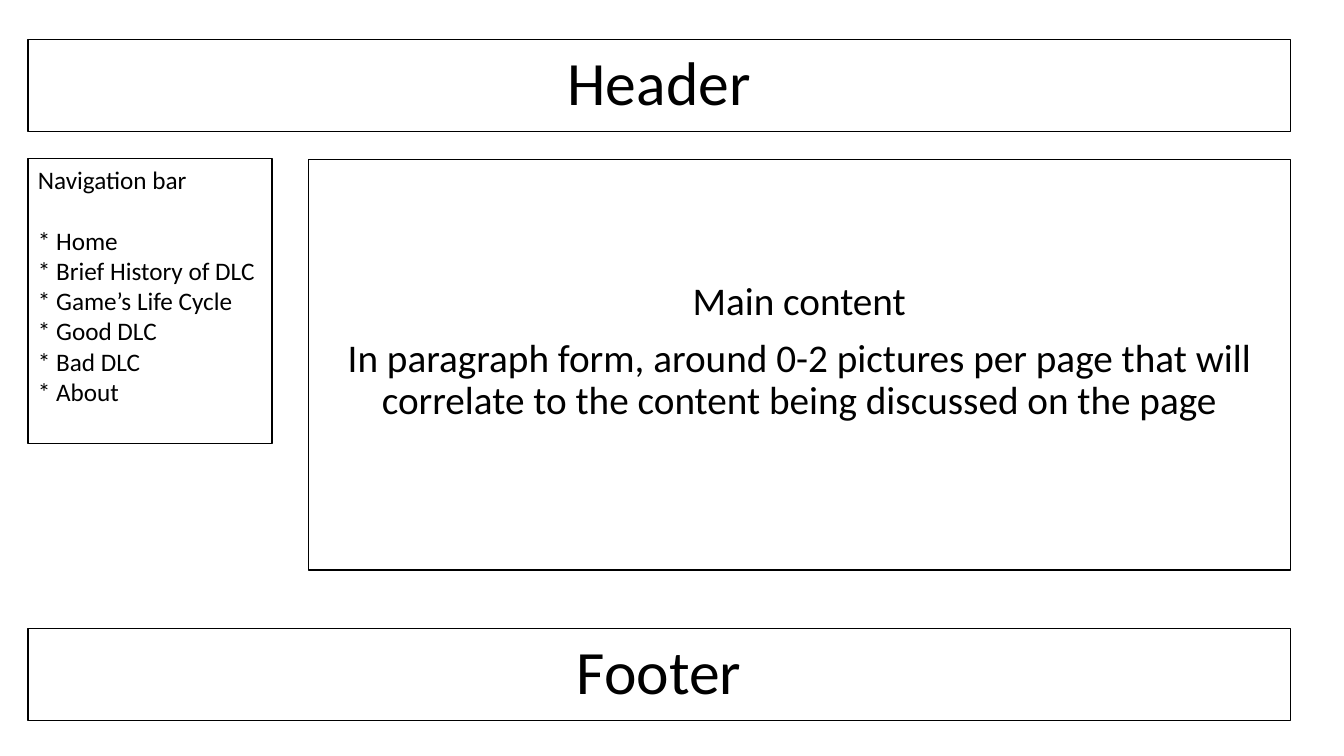
from dataclasses import dataclass

from pptx import Presentation, util as u
from pptx.dml.color import RGBColor
from pptx.enum import shapes, text

BLACK = RGBColor(0, 0, 0)
FONT = "Calibri"
SCALE = u.Inches(1) / 100.8
MID, TOP = text.MSO_ANCHOR.MIDDLE, text.MSO_ANCHOR.TOP
LEFT, CENTER = text.PP_ALIGN.LEFT, text.PP_ALIGN.CENTER


def px(n: int) -> int:
    return round(n * SCALE)


@dataclass(frozen=True)
class Panel:
    x: int
    y: int
    w: int
    h: int
    lines: tuple[str, ...]
    size: int
    align: text.PP_ALIGN = CENTER
    anchor: text.MSO_ANCHOR = MID
    inset: int = 5
    pitch: float = 0.9
    gaps: tuple[int, ...] = (0,)


def draw(slide, panel: Panel) -> None:
    box = slide.shapes.add_shape(
        shapes.MSO_SHAPE.RECTANGLE,
        px(panel.x), px(panel.y), px(panel.w), px(panel.h))
    box.shadow.inherit = False
    box.fill.background()
    box.line.color.rgb = BLACK
    box.line.width = u.Pt(0.75)
    frame = box.text_frame
    frame.word_wrap = True
    frame.vertical_anchor = panel.anchor
    frame.margin_top = px(panel.inset)
    frame.text = "\n".join(panel.lines)
    for i, para in enumerate(frame.paragraphs):
        para.alignment = panel.align
        para.line_spacing = panel.pitch
        para.space_before = u.Pt(panel.gaps[min(i, len(panel.gaps) - 1)])
        para.font.name = FONT
        para.font.size = u.Pt(panel.size)
        para.font.color.rgb = BLACK


EDGE, WIDE, BAND, BODY = 28, 1262, 92, 159
MENU = ("Navigation bar", "* Home", "* Brief History of DLC",
        "* Game’s Life Cycle", "* Good DLC", "* Bad DLC", "* About")
MAIN = ("Main content",
        "In paragraph form, around 0-2 pictures per page that will "
        "correlate to the content being discussed on the page")

PANELS = (
    Panel(EDGE, 40, WIDE, BAND, ("Header",), 44),
    Panel(308, BODY, 982, 411, MAIN, 28, anchor=TOP, inset=123,
          gaps=(0, 10)),
    Panel(EDGE, BODY, 244, 285, MENU, 18, LEFT, TOP, pitch=1.0,
          gaps=(0, 22, 0)),
    Panel(EDGE, 629, WIDE, BAND, ("Footer",), 44),
)

deck = Presentation()
deck.slide_width, deck.slide_height = u.Inches(13.33), u.Inches(7.5)
page = deck.slides.add_slide(deck.slide_layouts[6])
for panel in PANELS:
    draw(page, panel)
deck.save("out.pptx")
